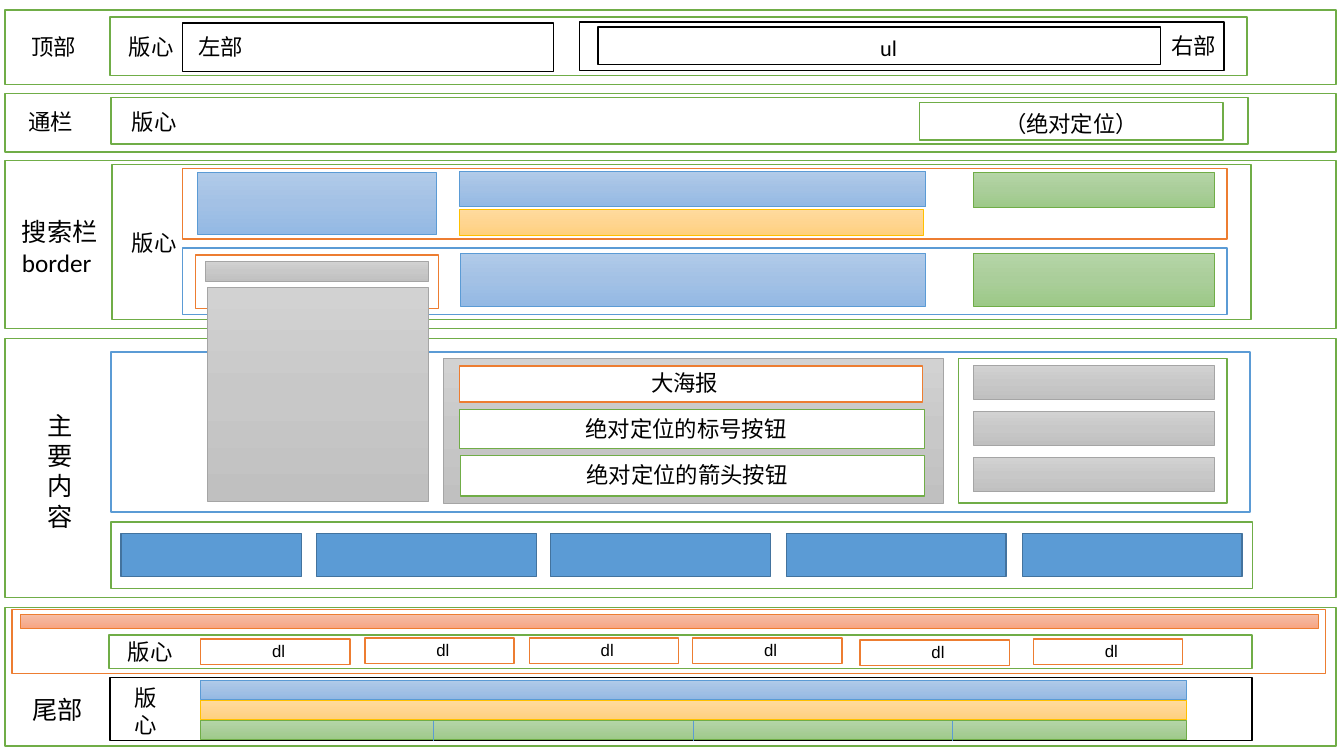
"""Draw the block layout of a shop home page on one slide."""
from copy import deepcopy
from typing import NamedTuple

from pptx import Presentation
from pptx.dml.color import RGBColor as Rgb
from pptx.enum.shapes import MSO_CONNECTOR as Wire, MSO_SHAPE as Form
from pptx.enum.text import MSO_AUTO_SIZE as Fit
from pptx.oxml.ns import qn
from pptx.oxml.xmlchemy import OxmlElement as Node
from pptx.util import Inches, Pt

CELL = Inches(0.01)
COLS, ROWS = 1333, 750

BLACK = Rgb(0x00, 0x00, 0x00)
WHITE = Rgb(0xFF, 0xFF, 0xFF)
GREEN = Rgb(0x70, 0xAD, 0x47)
BLUE = Rgb(0x5B, 0x9B, 0xD5)
NAVY = Rgb(0x43, 0x73, 0x9E)
RUST = Rgb(0xED, 0x7D, 0x31)
GOLD = Rgb(0xFF, 0xC0, 0x00)
GREY = Rgb(0xA5, 0xA5, 0xA5)


class Style(NamedTuple):
    edge: Rgb
    fill: tuple[Rgb, ...] = (WHITE,)
    width: float = 1


class Box(NamedTuple):
    style: Style
    col: int
    row: int
    wide: int
    high: int


class Label(NamedTuple):
    text: str
    col: int
    row: int
    wide: int
    high: int = 37
    size: int = 16
    font: str = "Calibri"


class Rule(NamedTuple):
    col: int
    top: int
    end: int


class Group(NamedTuple):
    items: tuple


def shade(edge: Rgb, *stops: str) -> Style:
    return Style(edge, tuple(Rgb.from_string(stop) for stop in stops), 0.5)


GREENS, BLUES, RUSTS, BLACKS = map(Style, (GREEN, BLUE, RUST, BLACK))
SOLID = Style(NAVY, (BLUE,))
SKY = shade(BLUE, "B1CBE9", "A3C1E5", "93B9E4")
LEAF = shade(GREEN, "B5D5A7", "AACE9A", "9CC987")
SAND = shade(GOLD, "FFDB9E", "FFD590", "FFD07C")
STONE = shade(GREY, "D2D2D2", "C8C8C8", "C0C0C0")
CORAL = shade(RUST, "F7BDA5", "F5B196", "F8A582")


def band(row: int, high: int) -> Box:
    return Box(GREENS, 5, row, 1320, high)


def link(col: int, row: int) -> Group:
    return Group((Box(RUSTS, col, row, 148, 25),
                  Label("dl", col + 61, row - 3, 43, 30, 12, "Arial")))


MAIN = [band(336, 257), Box(BLUES, 110, 349, 1130, 159)]
TOP = [
    band(10, 74), Label("顶部", 21, 28, 104),
    Box(GREENS, 109, 17, 1128, 58), Label("版心", 118, 28, 77),
    Box(BLACKS, 181, 23, 368, 48), Box(BLACKS, 575, 22, 639, 48),
    Label("左部", 187, 28, 127), Label("右部", 1152, 27, 83),
    Box(BLACKS, 593, 27, 558, 37), Label("ul", 863, 29, 55),
]
BANNER = [
    band(93, 58), Label("通栏", 18, 102, 77),
    Box(GREENS, 110, 97, 1128, 46), Label("版心", 121, 102, 120),
    Box(GREENS, 912, 102, 301, 37), Label("（绝对定位）", 986, 104, 180),
]
SEARCH = [
    band(159, 167), Box(GREENS, 111, 163, 1130, 154),
    Label("搜索栏\nborder", 12, 210, 104, 70, 18), Label("版心", 121, 222, 120),
    Box(RUSTS, 181, 167, 1036, 70), Box(BLUES, 181, 246, 1036, 66),
    Box(SKY, 196, 171, 237, 62), Box(SKY, 456, 170, 462, 35),
    Box(LEAF, 965, 171, 239, 35), Box(SAND, 456, 208, 460, 26),
    Box(RUSTS, 194, 253, 241, 53), Box(STONE, 204, 259, 221, 20),
    Box(STONE, 206, 285, 219, 212),
    Box(SKY, 457, 251, 461, 53), Box(LEAF, 965, 251, 239, 53),
]
POSTER = [
    Box(STONE, 440, 356, 496, 143),
    Box(RUSTS, 456, 363, 459, 36), Label("大海报", 636, 361, 100),
    Box(GREENS, 456, 406, 461, 39), Box(GREENS, 457, 452, 460, 40),
    Label("绝对定位的标号按钮", 571, 407, 222),
    Label("绝对定位的箭头按钮", 572, 453, 222),
    Box(GREENS, 951, 356, 266, 143),
    *(Box(STONE, 965, 362 + 46 * step, 239, 34) for step in range(3)),
]
FOOT = [
    band(603, 137),
    Box(GREENS, 110, 518, 1132, 66), Box(SOLID, 120, 529, 179, 43),
    *(Box(SOLID, col, 529, 218, 43) for col in (314, 546, 780, 1014)),
    Box(BLACKS, 109, 672, 1133, 63), Box(RUSTS, 12, 605, 1303, 63),
    *(Box(style, 199, 675 + 20 * step, 978, 19)
      for step, style in enumerate((SKY, SAND, LEAF))),
    *(Rule(col, 715, 735) for col in (430, 688, 945)),
    Label("版心", 124, 674, 56, 63), Box(CORAL, 20, 610, 1288, 13),
    Box(GREENS, 108, 630, 1134, 33), Label("版心", 117, 628, 87),
    *(link(col, row) for col, row in (
        (199, 634), (362, 633), (525, 633),
        (687, 633), (853, 635), (1025, 634))),
    Label("主要内容", 37, 402, 56, 130, 18), Label("尾部", 22, 684, 79, 40, 18),
]


def place(item: Box | Label) -> tuple[int, ...]:
    return tuple(CELL * side
                 for side in (item.col, item.row, item.wide, item.high))


def draw_box(shapes, box: Box) -> None:
    shape = shapes.add_shape(Form.RECTANGLE, *place(box))
    shape.shadow.inherit = False
    shape.line.color.rgb = box.style.edge
    shape.line.width = Pt(box.style.width)
    fill, tones = shape.fill, box.style.fill
    if len(tones) == 1:
        fill.solid()
        fill.fore_color.rgb = tones[0]
        return
    fill.gradient()
    fill.gradient_angle = 270
    stops = shape._element.spPr.find(".//" + qn("a:gsLst"))
    stops.insert(1, deepcopy(stops[0]))
    for step, (stop, tone) in enumerate(zip(fill.gradient_stops, tones)):
        stop.position = step / 2
        stop.color.rgb = tone


def draw_label(shapes, label: Label) -> None:
    frame = shapes.add_textbox(*place(label)).text_frame
    frame.word_wrap = True
    frame.auto_size = Fit.SHAPE_TO_FIT_TEXT
    frame.text = label.text
    for para in frame.paragraphs:
        para.font.size = Pt(label.size)
        para.font.name = label.font
        para.font.color.rgb = BLACK


def draw_rule(shapes, rule: Rule) -> None:
    line = shapes.add_connector(Wire.STRAIGHT, CELL * rule.col, CELL * rule.top,
                                CELL * rule.col, CELL * rule.end)
    line.line.color.rgb = BLUE
    line.line.width = Pt(0.5)
    line._element.spPr.append(Node("a:effectLst"))


def draw_group(shapes, group: Group) -> None:
    draw(shapes.add_group_shape().shapes, group.items)


def draw(shapes, items) -> None:
    tools = {Box: draw_box, Label: draw_label,
             Rule: draw_rule, Group: draw_group}
    for item in items:
        tools[type(item)](shapes, item)


deck = Presentation()
deck.slide_width, deck.slide_height = CELL * COLS, CELL * ROWS
slide = deck.slides.add_slide(deck.slide_layouts[6])
draw(slide.shapes, MAIN + TOP + BANNER + SEARCH + POSTER + FOOT)
deck.save("out.pptx")
